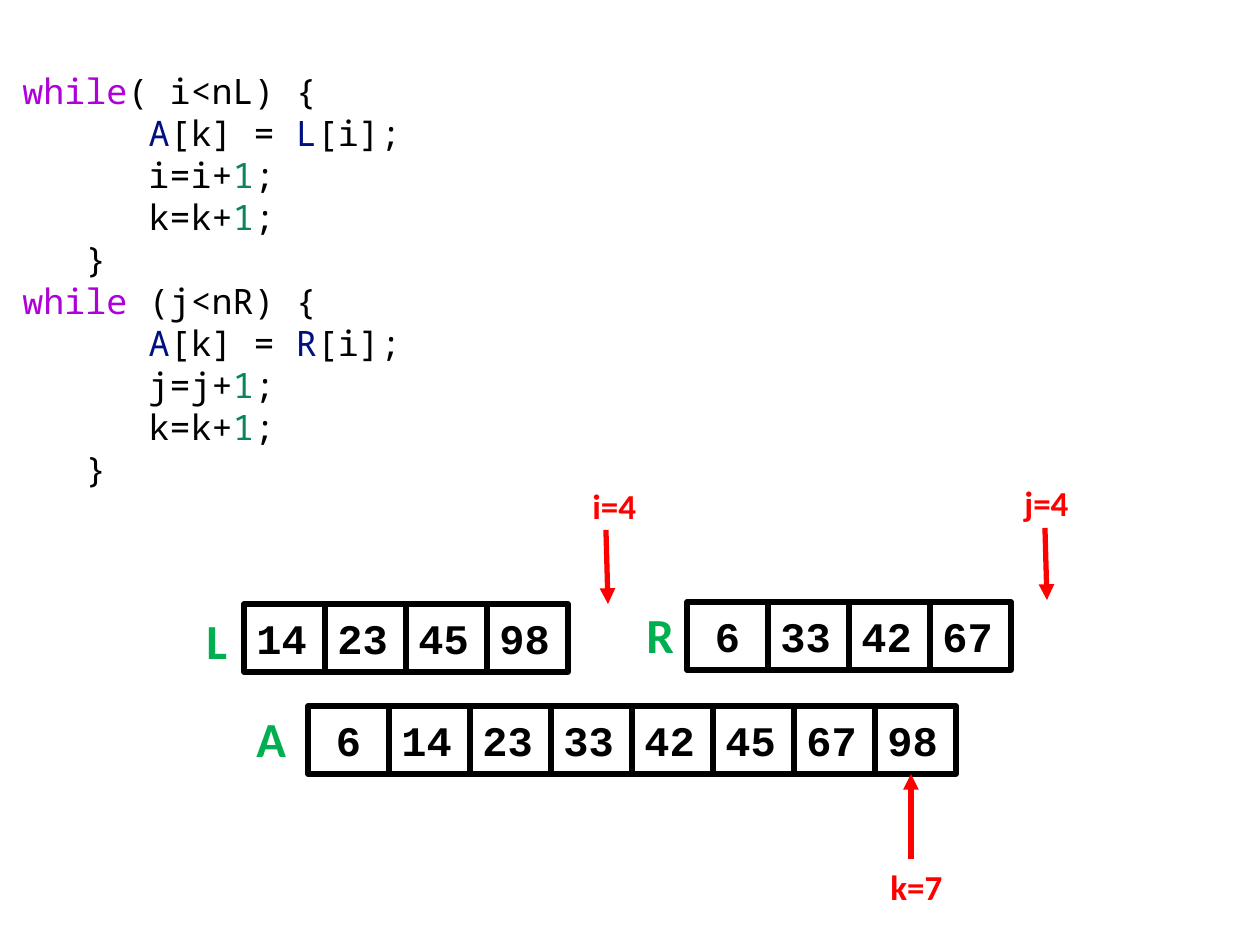
from lxml import etree
from pptx import Presentation
from pptx.dml.color import RGBColor
from pptx.enum.shapes import MSO_CONNECTOR, MSO_SHAPE
from pptx.enum.text import MSO_ANCHOR, MSO_AUTO_SIZE, PP_ALIGN
from pptx.oxml.ns import qn
from pptx.util import Pt

PX = 914400 // 126
RECT = MSO_SHAPE.RECTANGLE
LINE = MSO_CONNECTOR.STRAIGHT
MIDDLE = MSO_ANCHOR.MIDDLE
GROW = MSO_AUTO_SIZE.SHAPE_TO_FIT_TEXT
LEFT, CENTER = PP_ALIGN.LEFT, PP_ALIGN.CENTER

COLORS = {
    "plain": "000000",
    "key": "AF00DB",
    "name": "001080",
    "num": "098658",
    "mark": "FF0000",
    "label": "00B050",
}
CELL_W, CELL_H = 81, 68


def px(*sizes):
    return [size * PX for size in sizes]


def rgb(role):
    return RGBColor.from_string(COLORS[role])


def style(run, face, size, role, bold=False):
    font = run.font
    font.name, font.size, font.bold = face, Pt(size), bold
    font.color.rgb = rgb(role)


def add_label(slide, box, text, size, role):
    frame = slide.shapes.add_textbox(*px(*box)).text_frame
    frame.word_wrap = False
    frame.auto_size = GROW
    frame.text = text
    style(frame.paragraphs[0].runs[0], "Calibri", size, role, True)


def add_array(slide, left, top, values, name, label):
    """Draw a row of cells, with its name in a box relative to the row."""
    for col, value in enumerate(values):
        cell = slide.shapes.add_shape(
            RECT, *px(left + col * CELL_W, top, CELL_W, CELL_H))
        cell.shadow.inherit = False
        cell.fill.background()
        cell.line.color.rgb = rgb("plain")
        cell.line.width = Pt(3)
        frame = cell.text_frame
        frame.word_wrap = False
        frame.vertical_anchor = MIDDLE
        frame.text = str(value)
        para = frame.paragraphs[0]
        para.alignment = CENTER if value < 10 else LEFT
        style(para.runs[0], "Courier New", 24, "plain", True)
    dx, dy, width = label
    add_label(slide, (left + dx, top + dy, width, 72), name, 28, "label")


def add_index(slide, box, text, start, end):
    """Draw an index label and its arrow, relative to the label's box."""
    left, top = box[:2]
    add_label(slide, box, text, 20, "mark")
    arrow = slide.shapes.add_connector(
        LINE, *px(left + start[0], top + start[1],
                  left + end[0], top + end[1]))
    arrow.line.color.rgb = rgb("mark")
    arrow.line.width = Pt(3)
    etree.SubElement(arrow.line._get_or_add_ln(), qn("a:tailEnd"),
                     type="triangle")
    etree.SubElement(arrow._element.spPr, qn("a:effectLst"))


def loop_lines(head, source, index):
    """Return the lines of one copy loop as (text, role) pieces."""
    def step(var):
        return [(f"      {var}={var}+", "plain"), ("1", "num"),
                (";", "plain")]

    return [
        [("while", "key"), (head, "plain")],
        [("      ", "plain"), ("A", "name"), ("[k] = ", "plain"),
         (source, "name"), ("[i];", "plain")],
        step(index),
        step("k"),
        [("   }", "plain")],
    ]


def add_code(slide, box, lines):
    frame = slide.shapes.add_textbox(*px(*box)).text_frame
    frame.word_wrap = True
    for row, pieces in enumerate(lines):
        para = frame.add_paragraph() if row else frame.paragraphs[0]
        para.line_spacing = Pt(24)
        for text, role in pieces:
            run = para.add_run()
            run.text = text
            style(run, "Noto Sans Mono", 20, role)


def main():
    deck = Presentation()
    deck.slide_width, deck.slide_height = px(1260, 945)
    slide = deck.slides.add_slide(deck.slide_layouts[6])

    add_array(slide, 244, 604, [14, 23, 45, 98], "L", (-50, 0, 47))
    add_array(slide, 687, 602, [6, 33, 42, 67], "R", (-53, -4, 53))
    add_array(slide, 308, 706, [6, 14, 23, 33, 42, 45, 67, 98], "A",
              (-64, -4, 55))

    add_index(slide, (580, 478, 69, 55), "i=4", (26, 52), (28, 126))
    add_index(slide, (1012, 475, 71, 55), "j=4", (33, 53), (35, 125))
    add_index(slide, (878, 859, 78, 55), "k=7", (33, 0), (33, -85))

    add_code(slide, (10, 63, 630, 437),
             loop_lines("( i<nL) {", "L", "i")
             + loop_lines(" (j<nR) {", "R", "j"))
    deck.save("out.pptx")


if __name__ == "__main__":
    main()
